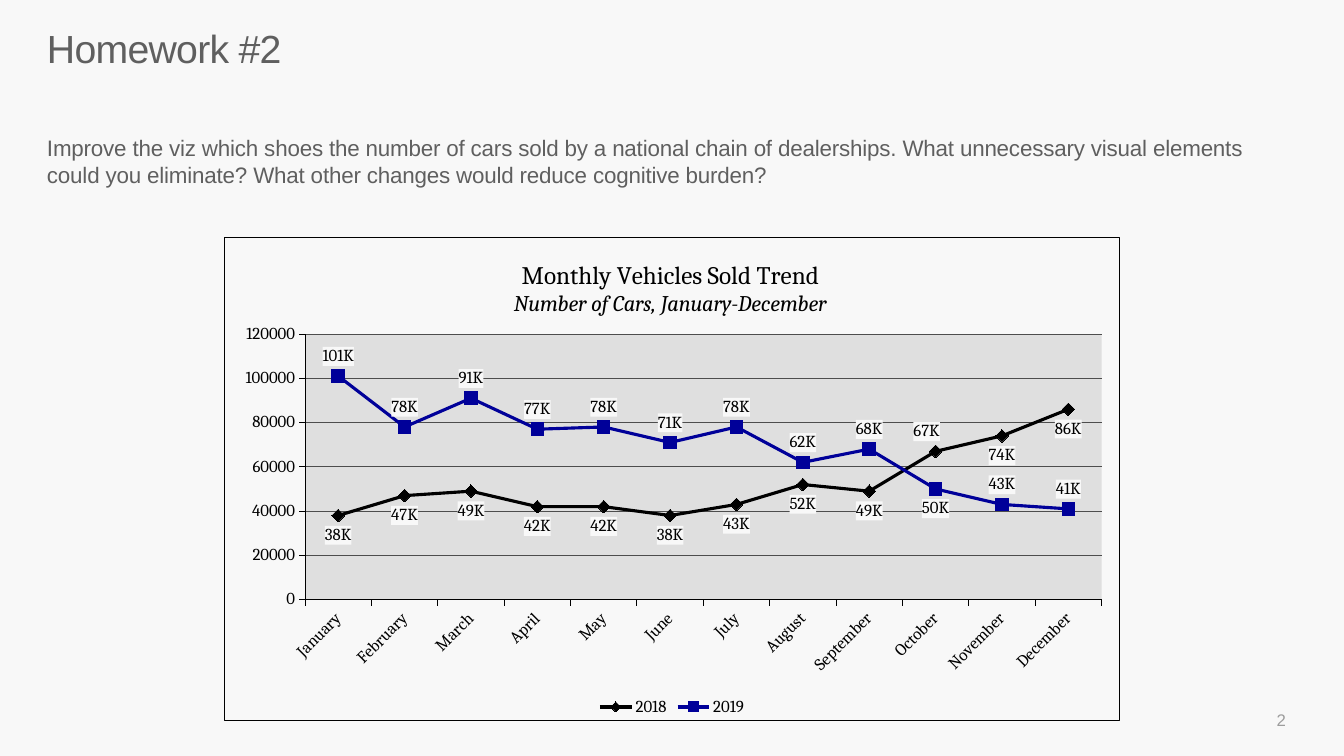
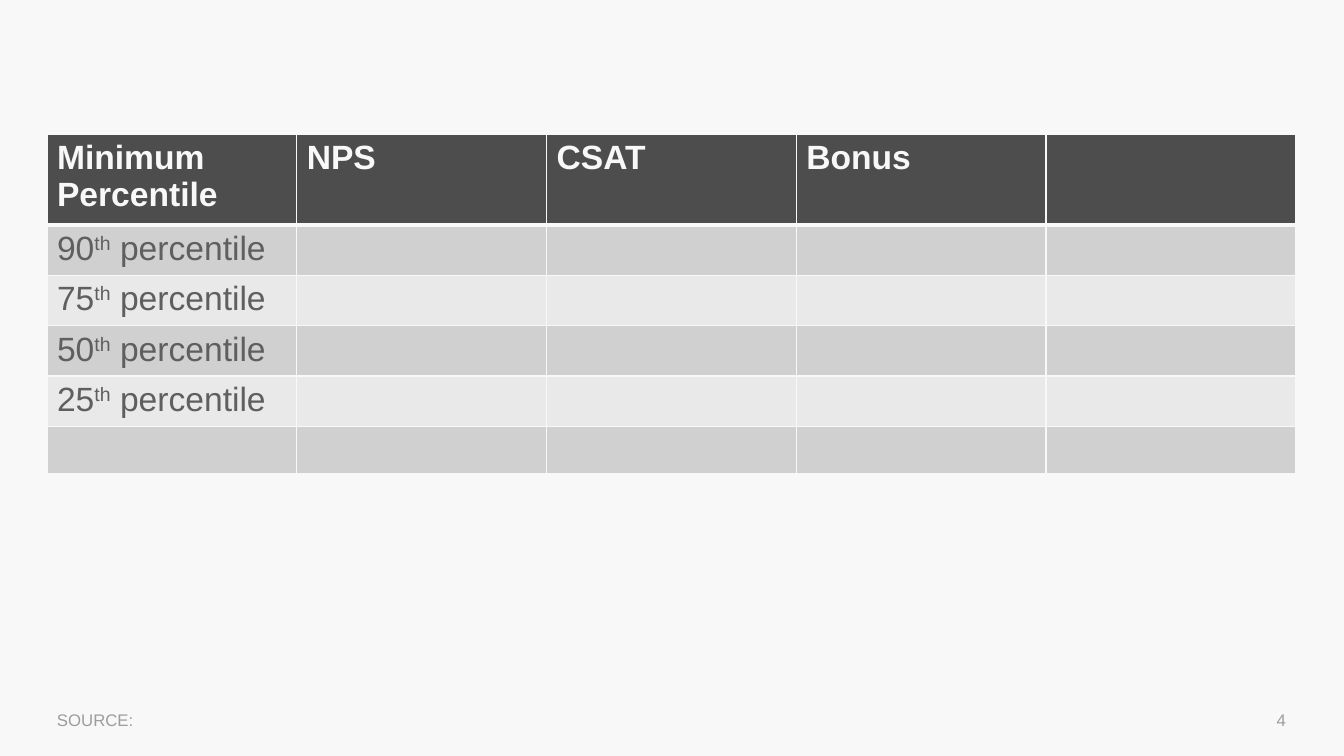
import copy

import lxml.etree
import pptx
import pptx.chart.data
import pptx.dml.color
import pptx.enum.chart
import pptx.enum.text
import pptx.oxml.ns
import pptx.util

qn = pptx.oxml.ns.qn
Align = pptx.enum.text.PP_ALIGN
Anchor = pptx.enum.text.MSO_ANCHOR
LabelPosition = pptx.enum.chart.XL_LABEL_POSITION
MarkerStyle = pptx.enum.chart.XL_MARKER_STYLE

# Shared style
EMU_PER_PX = 914400 / 100.8
BACKGROUND, TEXT, MUTED = "F8F8F8", "5F5F5F", "9D9D9D"
DARK, BLACK, BLUE, PLOT_GRAY = "4D4D4D", "000000", "000099", "DFDFDF"
ROW_FILLS = ("D0D0D0", "E9E9E9")
FONT, CHART_FONT = "Arial", "Cambria"
MARGIN, CONTENT_WIDTH, CONTENT_TOP = 47, 1249, 134
FOOTER_TOP, FOOTER_HEIGHT = 700, 40


def px(length):
    return pptx.util.Emu(round(length * EMU_PER_PX))


def rgb(color):
    return pptx.dml.color.RGBColor.from_string(color)


def set_font(font, size, color, name=FONT, bold=False, italic=False):
    font.name, font.size = name, pptx.util.Pt(size)
    font.bold, font.italic = bold, italic
    font.color.rgb = rgb(color)


def set_line(line, color, width):
    line.color.rgb = rgb(color)
    line.width = pptx.util.Pt(width)


def write(paragraph, text, align=Align.LEFT, line_spacing=None, tracking=0, **font):
    """Write one paragraph; text between ^ signs is superscript."""
    paragraph.alignment = align
    if line_spacing:
        paragraph.line_spacing = line_spacing
    for index, part in enumerate(text.split("^")):
        run = paragraph.add_run()
        run.text = part
        set_font(run.font, **font)
        properties = run.font._element
        if tracking:
            properties.set("spc", str(tracking))
        if index % 2:
            properties.set("baseline", "30000")


# XML for what python-pptx has no methods for
def add_solid_fill(parent, color):
    fill = lxml.etree.SubElement(parent, qn("a:solidFill"))
    lxml.etree.SubElement(fill, qn("a:srgbClr"), val=color)


def make_line(tag, color, width):
    line = lxml.etree.Element(qn(tag), w=str(pptx.util.Pt(width)))
    add_solid_fill(line, color)
    return line


def make_area_format(fill, border=None):
    properties = lxml.etree.Element(qn("c:spPr"))
    add_solid_fill(properties, fill)
    if border:
        properties.append(make_line("a:ln", border, 0.75))
    else:
        line = lxml.etree.SubElement(properties, qn("a:ln"))
        lxml.etree.SubElement(line, qn("a:noFill"))
    return properties


def place_chart_part(parent, index, inner=False, **fractions):
    for old_layout in parent.findall(qn("c:layout")):
        parent.remove(old_layout)
    layout = lxml.etree.Element(qn("c:layout"))
    manual = lxml.etree.SubElement(layout, qn("c:manualLayout"))
    if inner:
        lxml.etree.SubElement(manual, qn("c:layoutTarget"), val="inner")
    if inner or "edge" in parent.tag or parent.tag == qn("c:title"):
        for mode in ("xMode", "yMode"):
            lxml.etree.SubElement(manual, qn(f"c:{mode}"), val="edge")
    for name, value in fractions.items():
        lxml.etree.SubElement(manual, qn(f"c:{name}"), val=str(value))
    parent.insert(index, layout)


class Deck:
    def __init__(self):
        self.presentation = pptx.Presentation()
        self.presentation.slide_width = px(1344)
        self.presentation.slide_height = px(756)
        self.slide = None

    def add_slide(self, number):
        layout = self.presentation.slide_layouts[6]
        self.slide = self.presentation.slides.add_slide(layout)
        fill = self.slide.background.fill
        fill.solid()
        fill.fore_color.rgb = rgb(BACKGROUND)
        self.add_footer(994, 302, str(number), Align.RIGHT)

    def add_text(self, left, top, width, height, text, inset=(0, 0),
                 anchor=Anchor.TOP, **style):
        shape = self.slide.shapes.add_textbox(px(left), px(top), px(width), px(height))
        frame = shape.text_frame
        frame.word_wrap = True
        frame.vertical_anchor = anchor
        frame.margin_left = frame.margin_right = px(inset[0])
        frame.margin_top = frame.margin_bottom = px(inset[1])
        write(frame.paragraphs[0], text, **style)

    def add_title(self, text):
        self.add_text(MARGIN, 31, CONTENT_WIDTH, 90, text, size=28, color=TEXT,
                      line_spacing=0.86, tracking=-50)

    def add_body(self, text):
        self.add_text(MARGIN, CONTENT_TOP, CONTENT_WIDTH, 60, text, size=16,
                      color=TEXT, tracking=-10)

    def add_footer(self, left, width, text, align=Align.LEFT):
        self.add_text(left, FOOTER_TOP, width, FOOTER_HEIGHT, text, inset=(10, 5),
                      anchor=Anchor.MIDDLE, size=12, color=MUTED, align=align)

    def add_table(self, header, rows):
        content = [header, *rows]
        frame = self.slide.shapes.add_table(
            len(content), len(header), px(MARGIN), px(CONTENT_TOP),
            px(CONTENT_WIDTH), px(83 + 47 * len(rows)))
        table = frame.table
        for column in table.columns:
            column.width = px(CONTENT_WIDTH / len(header))
        for row_index, texts in enumerate(content):
            is_header = row_index == 0
            table.rows[row_index].height = px(83 if is_header else 47)
            for cell, text in zip(table.rows[row_index].cells, texts):
                cell.fill.solid()
                cell.fill.fore_color.rgb = rgb(
                    DARK if is_header else ROW_FILLS[(row_index - 1) % 2])
                self.add_borders(cell, row_index)
                if text:
                    write(cell.text_frame.paragraphs[0], text, size=24, bold=is_header,
                          color=BACKGROUND if is_header else TEXT)

    def add_borders(self, cell, row_index):
        # The rule under the header is heavier
        widths = {"L": 1, "R": 1, "T": 3 if row_index == 1 else 1,
                  "B": 3 if row_index == 0 else 1}
        properties = cell._tc.get_or_add_tcPr()
        for index, (side, width) in enumerate(widths.items()):
            properties.insert(index, make_line(f"a:ln{side}", BACKGROUND, width))

    def add_line_chart(self, left, top, width, height, title, subtitle, categories, series):
        data = pptx.chart.data.CategoryChartData(number_format="General")
        data.categories = categories
        for item in series:
            data.add_series(item["name"], [value * 1000 for value in item["thousands"]])
        chart = self.slide.shapes.add_chart(
            pptx.enum.chart.XL_CHART_TYPE.LINE_MARKERS,
            px(left), px(top), px(width), px(height), data).chart
        set_font(chart.font, 12, BLACK, CHART_FONT)

        # Title
        chart.has_title = True
        frame = chart.chart_title.text_frame
        write(frame.paragraphs[0], title, align=Align.CENTER, size=18, color=BLACK,
              name=CHART_FONT)
        write(frame.add_paragraph(), subtitle, align=Align.CENTER, size=16, color=BLACK,
              name=CHART_FONT, italic=True)
        place_chart_part(chart.chart_title._element, 1, x=0.32, y=0.04)

        # Legend
        chart.has_legend = True
        chart.legend.position = pptx.enum.chart.XL_LEGEND_POSITION.BOTTOM
        chart.legend.include_in_layout = False
        set_font(chart.legend.font, 12, BLACK, CHART_FONT)

        # Chart and plot areas
        chart_element = chart._chartSpace.find(qn("c:chart"))
        chart_element.addnext(make_area_format(BACKGROUND, BLACK))
        plot_area = chart_element.find(qn("c:plotArea"))
        place_chart_part(plot_area, 0, inner=True, x=0.09, y=0.2, w=0.89, h=0.55)
        plot_area.append(make_area_format(PLOT_GRAY))

        self.format_axes(chart)
        chart.plots[0].vary_by_categories = False
        for line, item in zip(chart.plots[0].series, series):
            self.format_series(line, item)

    def format_axes(self, chart):
        for axis in (chart.category_axis, chart.value_axis):
            axis.major_tick_mark = pptx.enum.chart.XL_TICK_MARK.OUTSIDE
            set_font(axis.tick_labels.font, 12, BLACK, CHART_FONT)
            set_line(axis.format.line, BLACK, 0.75)
        text_properties = chart.category_axis._element.find(qn("c:txPr"))
        text_properties.find(qn("a:bodyPr")).set("rot", "-2700000")
        axis = chart.value_axis
        axis.minimum_scale, axis.maximum_scale, axis.major_unit = 0, 120000, 20000
        axis.has_major_gridlines = True
        set_line(axis.major_gridlines.format.line, DARK, 0.75)

    def format_series(self, line, item):
        line.smooth = False
        set_line(line.format.line, item["color"], 2.25)
        line.marker.style, line.marker.size = item["marker"], 9
        line.marker.format.fill.solid()
        line.marker.format.fill.fore_color.rgb = rgb(item["color"])
        set_line(line.marker.format.line, item["color"], 0.75)

        # Value labels on a light ground
        labels = line.data_labels
        labels.show_value = True
        labels.number_format, labels.number_format_is_linked = '#,"K"', False
        labels.position = item["labels"]
        set_font(labels.font, 12, BLACK, CHART_FONT)
        element = labels._element
        element.find(qn("c:txPr")).addprevious(make_area_format(BACKGROUND))

        # The October label sits on the other side of its line
        line.points[9].data_label.position = item["october_label"]
        october = element.find(qn("c:dLbl"))
        for old_format in october.findall(qn("c:spPr")) + october.findall(qn("c:txPr")):
            october.remove(old_format)
        for tag in ("c:numFmt", "c:spPr", "c:txPr"):
            october.find(qn("c:dLblPos")).addprevious(copy.deepcopy(element.find(qn(tag))))
        if item["october_shift"]:
            place_chart_part(october, 1, x=item["october_shift"], y=0)


def main():
    deck = Deck()

    # Homework chart
    deck.add_slide(2)
    deck.add_title("Homework #2")
    deck.add_body(
        "Improve the viz which shoes the number of cars sold by a national chain of "
        "dealerships. What unnecessary visual elements could you eliminate? What other "
        "changes would reduce cognitive burden?")
    deck.add_line_chart(
        224, 237, 896, 484, "Monthly Vehicles Sold Trend", "Number of Cars, January-December",
        ["January", "February", "March", "April", "May", "June", "July", "August",
         "September", "October", "November", "December"],
        [{"name": "2018", "color": BLACK, "marker": MarkerStyle.DIAMOND,
          "thousands": [38, 47, 49, 42, 42, 38, 43, 52, 49, 67, 74, 86],
          "labels": LabelPosition.BELOW, "october_label": LabelPosition.ABOVE,
          "october_shift": -0.01},
         {"name": "2019", "color": BLUE, "marker": MarkerStyle.SQUARE,
          "thousands": [101, 78, 91, 77, 78, 71, 78, 62, 68, 50, 43, 41],
          "labels": LabelPosition.ABOVE, "october_label": LabelPosition.BELOW,
          "october_shift": 0}])

    # Percentile table
    deck.add_slide(4)
    deck.add_table(
        ["Minimum Percentile", "NPS", "CSAT", "Bonus", ""],
        [[f"{rank}^th^ percentile", "", "", "", ""] for rank in (90, 75, 50, 25)]
        + [[""] * 5])
    deck.add_footer(MARGIN, 931, "SOURCE:")

    deck.presentation.save("out.pptx")


if __name__ == "__main__":
    main()
